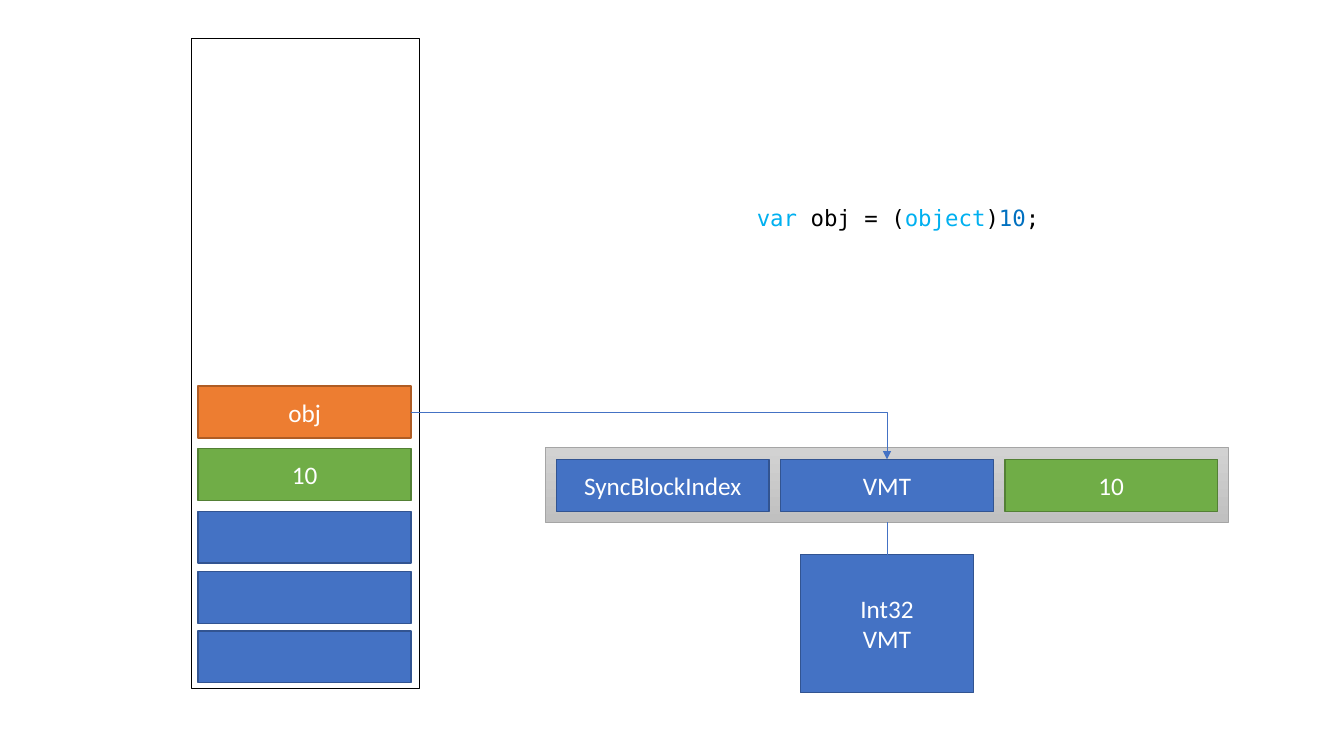
from lxml import etree
from pptx import Presentation
from pptx.dml.color import RGBColor
from pptx.enum import shapes as kinds, text as txt
from pptx.oxml.ns import qn
from pptx.util import Pt

BLUE, GREEN, ORANGE = ("4472C4", "325491"), ("70AD47", "538035"), ("ED7D31", "AF5C24")
STACK = [  # top, label, colours
    (275.8, "obj", ORANGE),
    (320.4, "10", GREEN),
    (365.2, "", BLUE),
    (408.4, "", BLUE),
    (450.6, "", BLUE),
]
HEAP = [("SyncBlockIndex", BLUE), ("VMT", BLUE), ("10", GREEN)]
CODE = [("var ", "00B0F0"), ("obj = (", "000000"), ("object", "00B0F0"),
        (")", "000000"), ("10", "0070C0"), (";", "000000")]

CELL_W, CELL_H = 152, 37
STACK_X = 141.6
MID = 633.6  # centre of the heap object
STEP = 160.2
HEAP_Y = 328.2
PANEL_Y, PANEL_W, PANEL_H = 319.8, 488, 53.2
TABLE_Y, TABLE_W, TABLE_H = 396, 124, 98.8


def color(code):
    return RGBColor.from_string(code)


def box(x, y, w, h, pair, label="", weight=1):
    shape = slide.shapes.add_shape(
        kinds.MSO_SHAPE.RECTANGLE, Pt(x), Pt(y), Pt(w), Pt(h))
    shape.shadow.inherit = False
    fill, edge = pair
    shape.fill.solid()
    shape.fill.fore_color.rgb = color(fill)
    shape.line.color.rgb = color(edge)
    shape.line.width = Pt(weight)
    if label:
        frame = shape.text_frame
        frame.text = label
        frame.vertical_anchor = txt.MSO_ANCHOR.MIDDLE
        for para in frame.paragraphs:
            para.alignment = txt.PP_ALIGN.CENTER
            para.font.name = "Calibri"
            para.font.size = Pt(18)
            para.font.color.rgb = color("FFFFFF")
    return shape


def arrow(kind, start, end):
    line = slide.shapes.add_connector(kind, *(Pt(v) for v in start + end))
    line.line.color.rgb = color("4472C4")
    line.line.width = Pt(0.5)
    etree.SubElement(line.line._get_or_add_ln(), qn("a:tailEnd"), type="triangle")
    etree.SubElement(line._element.spPr, qn("a:effectLst"))
    return line


deck = Presentation()
deck.slide_width, deck.slide_height = Pt(960), Pt(540)
slide = deck.slides.add_slide(deck.slide_layouts[6])

# Stack
box(137, 27.4, 162.6, 464.4, ("FFFFFF", "000000"))
cells = [box(STACK_X, top, CELL_W, CELL_H, pair, label) for top, label, pair in STACK]

# Heap object
panel = box(MID - PANEL_W / 2, PANEL_Y, PANEL_W, PANEL_H, ("C8C8C8", "A5A5A5"), weight=0.5)
panel.fill.gradient()
panel.fill.gradient_angle = 270
for stop, code in zip(panel.fill.gradient_stops, ("D2D2D2", "C0C0C0")):
    stop.color.rgb = color(code)
fields = [box(MID - CELL_W / 2 + (i - 1) * STEP, HEAP_Y, CELL_W, CELL_H, pair, label)
          for i, (label, pair) in enumerate(HEAP)]
box(MID - TABLE_W / 2, TABLE_Y, TABLE_W, TABLE_H, BLUE, "Int32\nVMT")

# Links
link = arrow(kinds.MSO_CONNECTOR.ELBOW,
             (STACK_X + CELL_W, STACK[0][0] + CELL_H / 2), (MID, HEAP_Y))
link.begin_connect(cells[0], 3)
link.end_connect(fields[1], 0)
link._element.spPr.find(qn("a:prstGeom")).set("prst", "bentConnector2")
down = arrow(kinds.MSO_CONNECTOR.STRAIGHT, (MID, PANEL_Y + PANEL_H), (MID, 411.8))
down.begin_connect(panel, 2)

# Code
code_box = slide.shapes.add_textbox(Pt(404.6), Pt(142.6), Pt(473.8), Pt(26.6))
code_box.text_frame.word_wrap = True
para = code_box.text_frame.paragraphs[0]
para.alignment = txt.PP_ALIGN.CENTER
para.font.name = "DejaVu Sans Mono"
para.font.size = Pt(16)
for part, shade in CODE:
    run = para.add_run()
    run.text = part
    run.font.color.rgb = color(shade)

deck.save("out.pptx")
